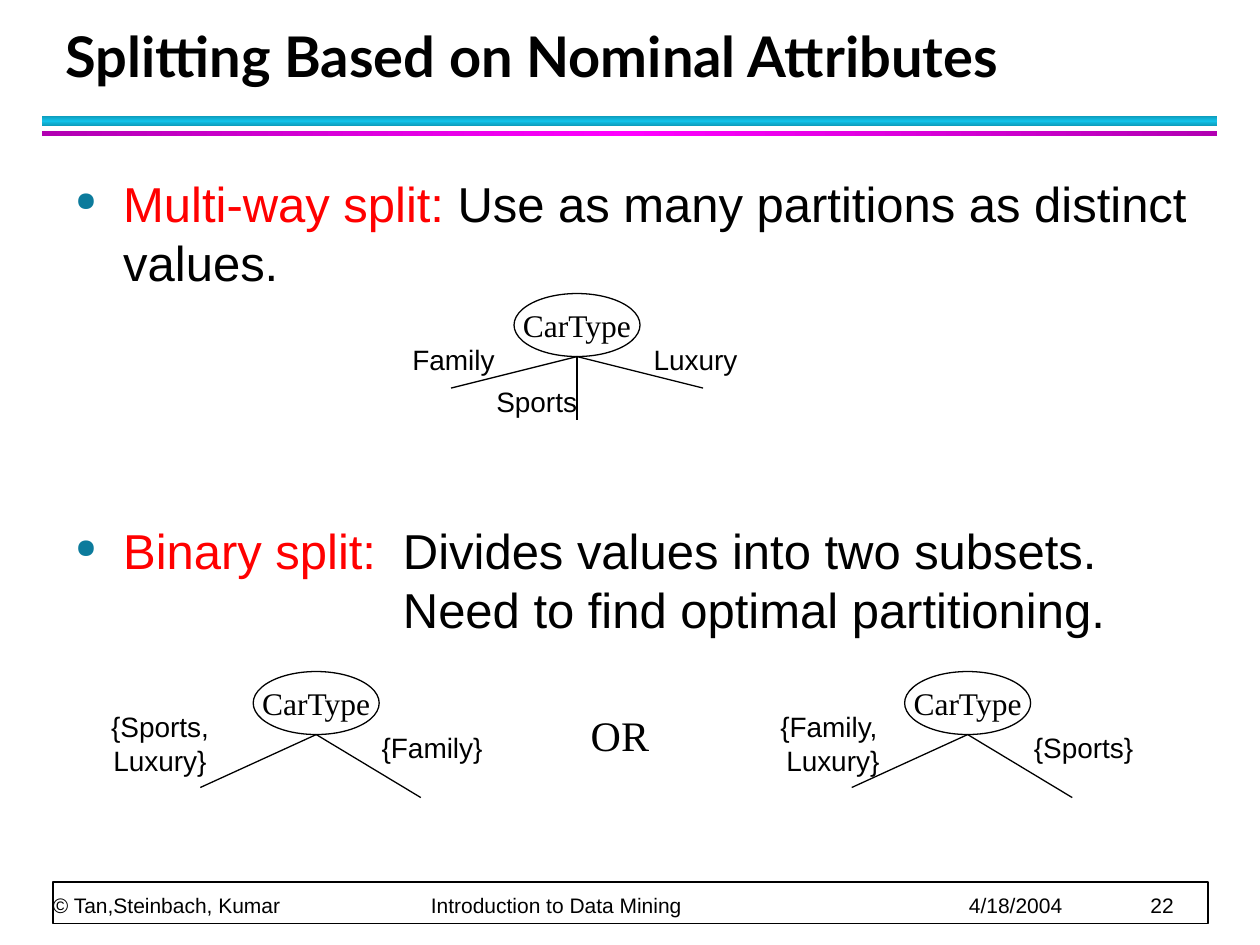
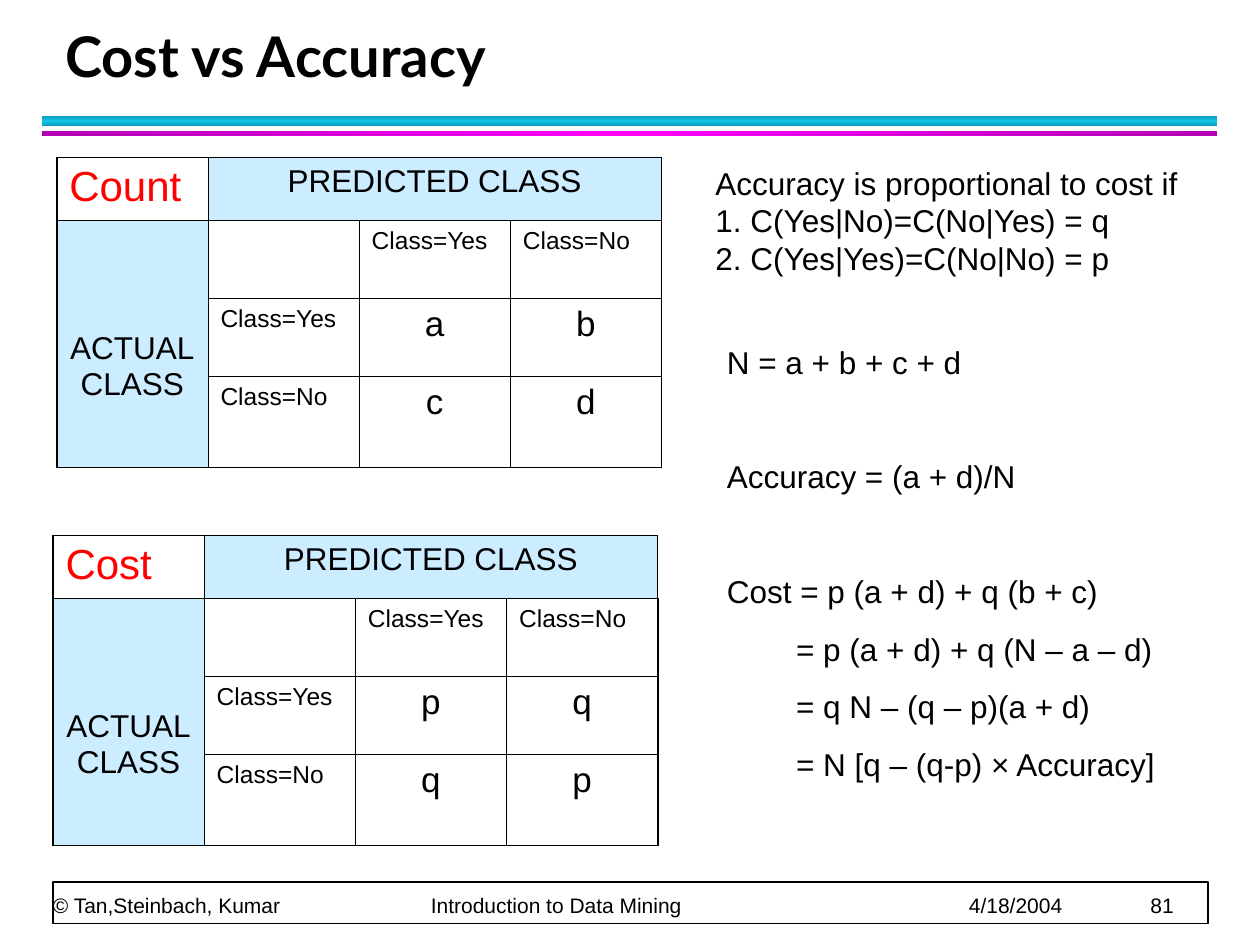
import copy

import pptx
import pptx.dml.color
import pptx.enum.shapes
import pptx.enum.text
import pptx.oxml
import pptx.oxml.ns
import pptx.util

Inches = pptx.util.Inches
Pt = pptx.util.Pt
RGBColor = pptx.dml.color.RGBColor
Shape = pptx.enum.shapes.MSO_SHAPE
Anchor = pptx.enum.text.MSO_ANCHOR
Align = pptx.enum.text.PP_ALIGN

BLACK = RGBColor(0x00, 0x00, 0x00)
WHITE = RGBColor(0xFF, 0xFF, 0xFF)
RED = RGBColor(0xFF, 0x00, 0x00)
PALE_BLUE = RGBColor(0xCC, 0xEC, 0xFF)
BULLET_TEAL = RGBColor(0x0C, 0x7B, 0x9C)
TEAL = RGBColor(0x0E, 0x9B, 0xBA)
CYAN = RGBColor(0x12, 0xC2, 0xE9)
PURPLE = RGBColor(0xB2, 0x00, 0xB2)
MAGENTA = RGBColor(0xFF, 0x00, 0xFF)

HEADING = {"name": "Lato", "size": Pt(32), "bold": True}
BODY = {"name": "Arial", "size": Pt(28)}
FORMULA = {"name": "Arial", "size": Pt(18)}
BRANCH = {"name": "Arial", "size": Pt(16)}
FOOTER = {"name": "Arial", "size": Pt(12)}
NODE = {"name": "Times New Roman", "size": Pt(18)}
CHOICE = {"name": "Times New Roman", "size": Pt(24)}
CORNER = {"name": "Arial", "size": Pt(24)}
CLASS_NAME = {"name": "Arial", "size": Pt(14)}
VALUE = {"name": "Arial", "size": Pt(20)}


def apply(target, values):
    for name, value in values.items():
        setattr(target, name, value)


def add_element(parent, tag, **attributes):
    element = parent.makeelement(pptx.oxml.ns.qn(tag), attributes)
    parent.append(element)
    return element


class Deck:
    def __init__(self):
        self.presentation = pptx.Presentation()
        apply(self.presentation, {"slide_width": Inches(10), "slide_height": Inches(7.5)})
        self.slide = None

    def start_slide(self, title, number):
        self.slide = self.presentation.slides.add_slide(self.presentation.slide_layouts[6])
        self.band(0.92, 0.08, 90, TEAL, CYAN)
        self.band(1.04, 0.04, 0, PURPLE, MAGENTA)
        self.shape(Shape.RECTANGLE, 0.42, 7, 9.17, 0.33, 1)
        footer = f"© Tan,Steinbach, Kumar\tIntroduction to Data Mining\t4/18/2004\t{number}"
        self.text(0.42, 6.72, 9.15, 0.56, [footer], FOOTER, {"line_spacing": Pt(20)},
                  anchor=Anchor.BOTTOM, inset=0, tabs=(3, 7.27, 8.71))
        self.text(0.42, 0.17, 9.42, 0.58, [title], HEADING, {"line_spacing": Pt(36)},
                  anchor=Anchor.BOTTOM)

    def shape(self, kind, left, top, width, height, line_width):
        shape = self.slide.shapes.add_shape(
            kind, Inches(left), Inches(top), Inches(width), Inches(height))
        shape.shadow.inherit = False
        shape.fill.solid()
        shape.fill.fore_color.rgb = WHITE
        shape.line.color.rgb = BLACK
        shape.line.width = Pt(line_width)
        return shape

    def band(self, top, height, angle, edge, middle):
        shape = self.shape(Shape.RECTANGLE, 0.33, top, 9.33, height, 1)
        shape.line.fill.background()
        shape.fill.gradient()
        shape.fill.gradient_angle = angle
        for stop, color, position in zip(shape.fill.gradient_stops, (edge, middle), (0, 0.5)):
            stop.color.rgb = color
            stop.position = position
        stops = next(shape._element.iter(pptx.oxml.ns.qn("a:gsLst")))
        last = copy.deepcopy(stops[0])
        last.set("pos", "100000")
        stops.append(last)

    def paragraph(self, paragraph, runs, font, values, tabs=(), bullet=False):
        apply(paragraph, values)
        properties = paragraph._p.get_or_add_pPr()
        if bullet:
            properties.set("marL", str(Inches(0.38)))
            properties.set("indent", str(-Inches(0.38)))
            add_element(add_element(properties, "a:buClr"), "a:srgbClr", val=str(BULLET_TEAL))
            add_element(properties, "a:buSzPct", val="55000")
            add_element(properties, "a:buChar", char="●")
        if tabs:
            tab_list = add_element(properties, "a:tabLst")
            for position in tabs:
                add_element(tab_list, "a:tab", pos=str(Inches(position)), algn="l")
        for text, color in [(runs, BLACK)] if isinstance(runs, str) else runs:
            for index, line in enumerate(text.split("\n")):
                if index:
                    paragraph.add_line_break()
                run = paragraph.add_run()
                run.text = line
                apply(run.font, font)
                run.font.color.rgb = color
        apply(paragraph.font, font)

    def fill_frame(self, frame, paragraphs, font, values, anchor, inset=None, wrap=True,
                   tabs=(), bullet=False):
        apply(frame, {"word_wrap": wrap, "vertical_anchor": anchor})
        if inset is not None:
            sides = ("margin_left", "margin_top", "margin_right", "margin_bottom")
            apply(frame, dict.fromkeys(sides, Inches(inset)))
        for index, item in enumerate(paragraphs):
            runs, extra = item if isinstance(item, tuple) else (item, {})
            paragraph = frame.add_paragraph() if index else frame.paragraphs[0]
            self.paragraph(paragraph, runs, font, {**values, **extra}, tabs, bullet)

    def text(self, left, top, width, height, paragraphs, font, values=None,
             anchor=Anchor.TOP, **options):
        box = self.slide.shapes.add_textbox(
            Inches(left), Inches(top), Inches(width), Inches(height))
        self.fill_frame(box.text_frame, paragraphs, font, values or {}, anchor, **options)

    def label(self, left, top, width, height, text, font=BRANCH, wrap=False):
        self.text(left, top, width, height, [text], font, {"alignment": Align.CENTER},
                  anchor=Anchor.MIDDLE, wrap=wrap)

    def line(self, start, end):
        connector = self.slide.shapes.add_connector(
            pptx.enum.shapes.MSO_CONNECTOR.STRAIGHT, *map(Inches, (*start, *end)))
        connector.line.color.rgb = BLACK
        connector.line.width = Pt(0.75)
        add_element(connector._element.spPr, "a:effectLst")

    def tree(self, left, top, branch_offsets):
        node = self.shape(Shape.OVAL, left, top, 1, 0.5, 0.75)
        self.fill_frame(node.text_frame, ["CarType"], NODE, {"alignment": Align.CENTER},
                        Anchor.MIDDLE, wrap=False)
        root = (left + 0.5, top + 0.5)
        for across, down in branch_offsets:
            self.line(root, (root[0] + across, root[1] + down))

    def cell(self, cell, text, font, centered=False, color=BLACK, fill=None, top=0.05):
        if fill:
            cell.fill.solid()
            cell.fill.fore_color.rgb = fill
        cell.margin_top = Inches(top)
        alignment = Align.CENTER if centered else Align.LEFT
        self.paragraph(cell.text_frame.paragraphs[0], [(text, color)], font,
                       {"alignment": alignment})

    def borders(self, cell, widths):
        properties = cell._tc.get_or_add_tcPr()
        for index, (side, width) in enumerate(widths.items()):
            line = add_element(properties, f"a:ln{side}", w=str(Pt(width)))
            add_element(add_element(line, "a:solidFill"), "a:srgbClr", val=str(BLACK))
            properties.insert(index, line)

    def matrix(self, left, top, name, values):
        table = self.slide.shapes.add_table(
            4, 4, Inches(left), Inches(top), Inches(4.8), Inches(2.46)).table
        apply(table, {"first_row": False, "horz_banding": False})
        for column in table.columns:
            column.width = Inches(1.2)
        for row, height in zip(table.rows, (0.5, 0.62, 0.62, 0.72)):
            row.height = Inches(height)
        for row in range(4):
            for column in range(4):
                cell = table.cell(row, column)
                cell.fill.background()
                outer = {"L": column == 0, "R": column == 3, "T": row == 0, "B": row == 3}
                self.borders(cell, {side: 1.08 if edge else 0.45 for side, edge in outer.items()})
        table.cell(0, 1).merge(table.cell(0, 3))
        table.cell(1, 0).merge(table.cell(3, 0))
        self.cell(table.cell(0, 0), name, CORNER, color=RED)
        self.cell(table.cell(0, 1), "PREDICTED CLASS", FORMULA, True, fill=PALE_BLUE)
        self.cell(table.cell(1, 0), "ACTUAL\nCLASS", FORMULA, True, fill=PALE_BLUE, top=0.88)
        for index, class_name in enumerate(("Class=Yes", "Class=No"), 2):
            self.cell(table.cell(1, index), class_name, CLASS_NAME)
            self.cell(table.cell(index, 1), class_name, CLASS_NAME)
        for index, value in enumerate(values):
            self.cell(table.cell(2 + index // 2, 2 + index % 2), value, VALUE, True)


def nominal_splits(deck):
    deck.start_slide("Splitting Based on Nominal Attributes", 22)
    multi_way = [("Multi-way split:", RED), (" Use as many partitions as distinct values.", BLACK)]
    binary = [("Binary split:", RED),
              ("\tDivides values into two subsets.\n\tNeed to find optimal partitioning.", BLACK)]
    deck.text(0.5, 1.33, 9.17, 4.08, [multi_way, (binary, {"space_before": Pt(127)})],
              BODY, {"space_after": Pt(4)}, tabs=(2.6,), bullet=True)

    deck.tree(4.08, 2.33, [(-1, 0.25), (0, 0.5), (1, 0.25)])
    for car_type, left, top in [("Family", 3.1, 2.67), ("Sports", 3.76, 3), ("Luxury", 5.02, 2.67)]:
        deck.label(left, top, 1, 0.37, car_type)

    pairs = [(2.01, 0.75, "{Sports, Luxury}", "{Family}"),
             (7.18, 6.09, "{Family, \nLuxury}", "{Sports}")]
    for left, pair_left, pair, single in pairs:
        deck.tree(left, 5.33, [(-0.92, 0.42), (0.83, 0.5)])
        deck.label(pair_left, 5.58, 1.04, 0.64, pair, wrap=True)
        deck.label(left + 0.87, 5.75, 1.1, 0.37, single)
    deck.label(4.52, 5.58, 0.8, 0.5, "OR", CHOICE)


def cost_and_accuracy(deck):
    deck.start_slide("Cost vs Accuracy", 81)
    deck.matrix(0.45, 1.25, "Count", "abcd")
    deck.matrix(0.42, 4.25, "Cost", "pqqp")

    step = {"space_before": Pt(11.2)}
    section = {"space_before": Pt(44)}
    formulas = ["N = a + b + c + d",
                ("Accuracy = (a + d)/N", section),
                ("Cost = p (a + d) + q (b + c)", section)]
    deck.text(5.67, 2.67, 3.92, 2.2, formulas, FORMULA)
    derivation = ["= p (a + d) + q (N – a – d)",
                  ("= q N – (q – p)(a + d)", step),
                  ("= N [q – (q-p) × Accuracy]", step)]
    deck.text(6.22, 4.95, 3.37, 1.45, derivation, FORMULA)
    conditions = ("Accuracy is proportional to cost if\n"
                  "1. C(Yes|No)=C(No|Yes) = q\n2. C(Yes|Yes)=C(No|No) = p")
    deck.text(5.58, 1.25, 4.08, 1, [conditions], FORMULA)


def main():
    deck = Deck()
    nominal_splits(deck)
    cost_and_accuracy(deck)
    deck.presentation.save("out.pptx")


if __name__ == "__main__":
    main()
